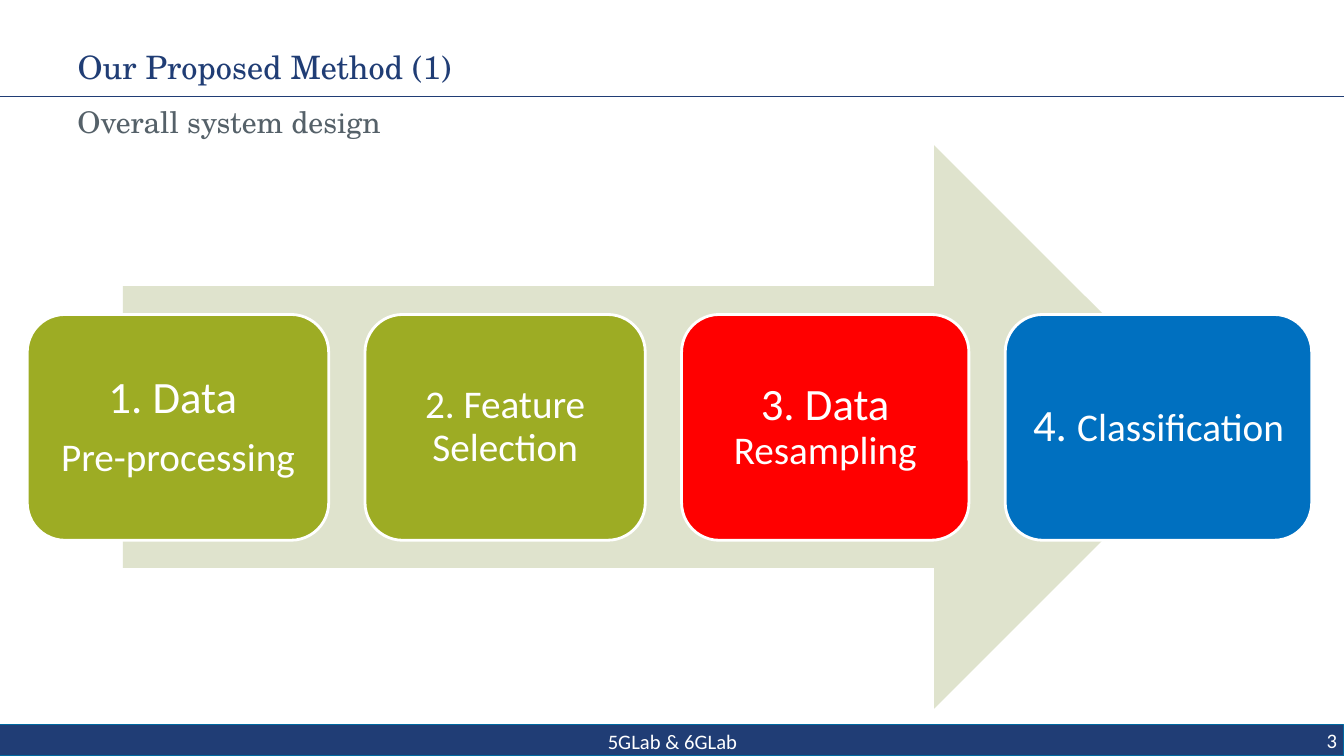
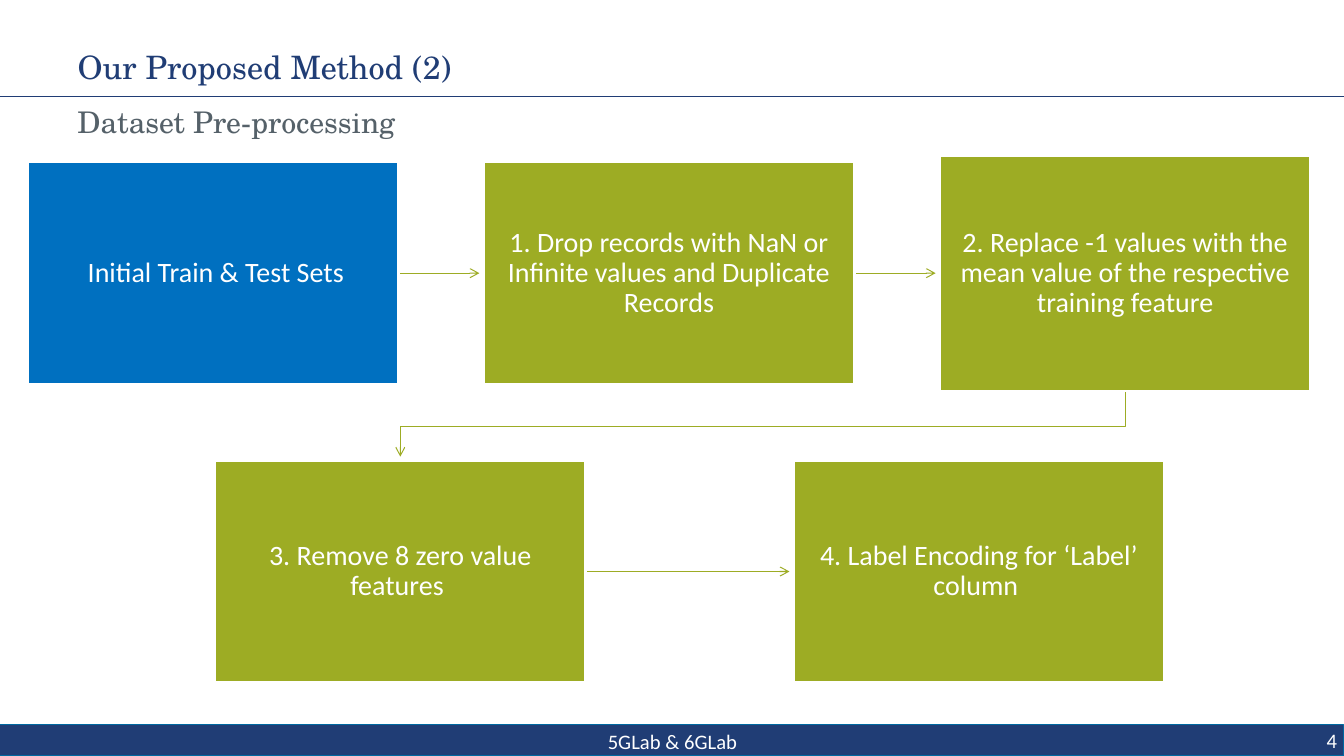
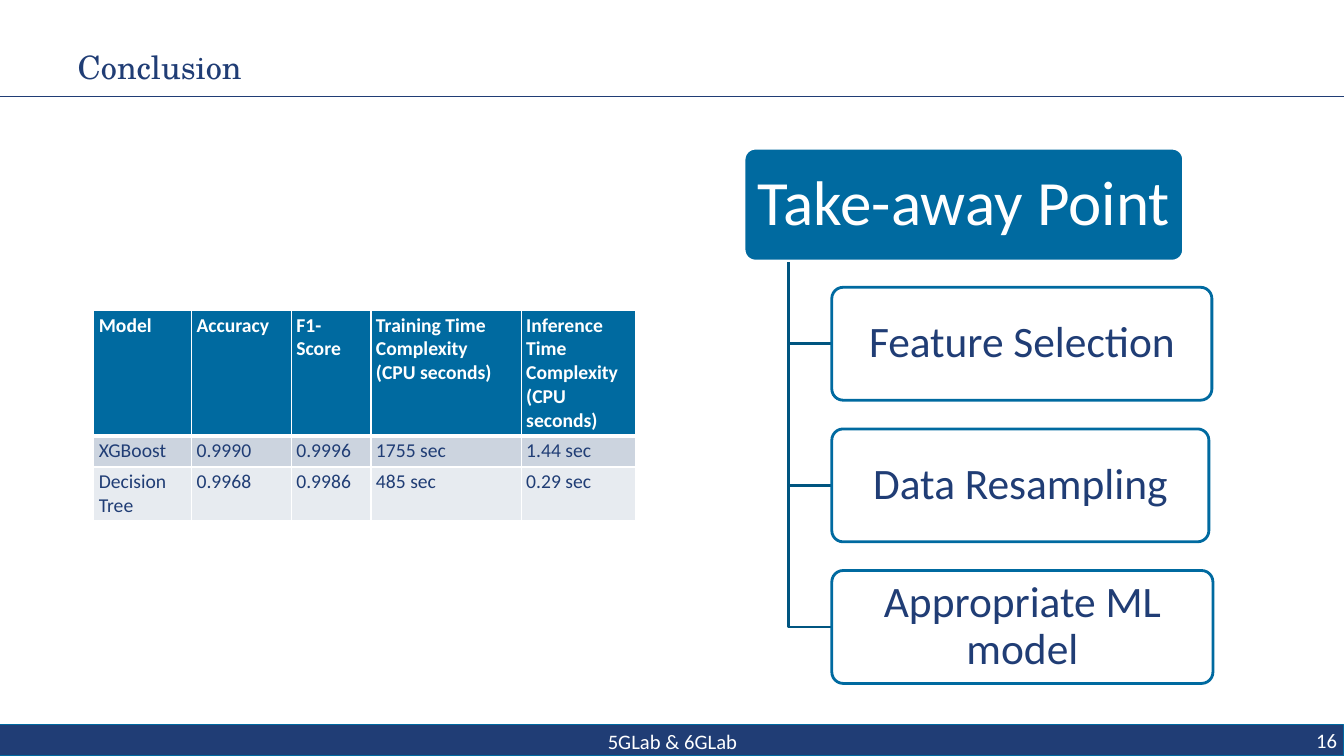
from pptx import Presentation
from pptx.dml.color import RGBColor
from pptx.enum import shapes, text
from pptx.oxml import parse_xml
from pptx.oxml.ns import nsdecls
from pptx.util import Inches, Pt

# Shared look
COLORS = {
    "navy": "203D75", "blue": "0070C0", "teal": "006AA0", "edge": "0069A0",
    "branch": "005580", "green": "9DAC24", "sage": "DFE3CD", "red": "FF0000",
    "gray": "556169", "white": "FFFFFF", "band_dark": "CCD4DF", "band_light": "E7EBF0",
}
BODY, SERIF = "Calibri", "TeX Gyre Schola"
FOOTER = "5GLab & 6GLab"
KINDS = shapes.MSO_SHAPE
LEFT, CENTER, RIGHT = text.PP_ALIGN.LEFT, text.PP_ALIGN.CENTER, text.PP_ALIGN.RIGHT
MIDDLE, TOP = text.MSO_ANCHOR.MIDDLE, text.MSO_ANCHOR.TOP

# Content: a paragraph is a list of (text, size) spans
STAGES = [  # width, fill, paragraphs
    (2.99, "green", [[("1. Data ", 32)], [("Pre-processing", 28)]]),
    (2.78, "green", [[("2. Feature Selection", 28)]]),
    (2.85, "red", [[("3. Data ", 32), ("Resampling", 28)]]),
    (3.04, "blue", [[("4. ", 32), ("Classification", 28)]]),
]
FLOW_ROWS = [  # first left, pitch, middle, boxes of (text, fill, height)
    (0.27, 4.525, 2.71, [
        (" Initial Train & Test Sets", "blue", 2.21),
        ("1. Drop records with NaN or Infinite values and Duplicate Records", "green", 2.21),
        ("2. Replace -1 values with the mean value of the respective training feature",
         "green", 2.34)]),
    (2.13, 5.74, 5.67, [
        ("3. Remove 8 zero value features ", "green", 2.21),
        ("4. Label Encoding for ‘Label’ column ", "green", 2.21)]),
]
TAKEAWAYS = [("Feature Selection", 3.77), ("Data Resampling", 3.74),
             ("Appropriate ML model", 3.78)]
RESULTS = [
    ["Model", "Accuracy", "F1-Score", "Training Time Complexity\n(CPU seconds)",
     "Inference Time Complexity\n(CPU seconds)"],
    ["XGBoost", "0.9990", "0.9996", "1755 sec", "1.44 sec"],
    ["Decision Tree", "0.9968", "0.9986", "485 sec", "0.29 sec"],
]
COLUMN_WIDTHS = [0.97, 0.99, 0.79, 1.49, 1.14]
ROW_HEIGHTS = [1.21, 0.31, 0.53]
ROW_FILLS = ["teal", "band_dark", "band_light"]

deck = Presentation()
deck.slide_width, deck.slide_height = Inches(13.33), Inches(7.5)


def rgb(name):
    return RGBColor.from_string(COLORS[name])


def style(span, size, color, font=BODY, bold=False):
    span.font.size, span.font.name, span.font.bold = Pt(size), font, bold
    span.font.color.rgb = rgb(color)


def write(box, paragraphs, color="white", font=BODY, align=CENTER, anchor=MIDDLE,
          inset=(0.1, 0.05), spacing=0.9):
    frame = box.text_frame
    frame.word_wrap, frame.auto_size = True, text.MSO_AUTO_SIZE.NONE
    frame.vertical_anchor = anchor
    frame.margin_left = frame.margin_right = Inches(inset[0])
    frame.margin_top = frame.margin_bottom = Inches(inset[1])
    for index, spans in enumerate(paragraphs):
        para = frame.add_paragraph() if index else frame.paragraphs[0]
        para.alignment, para.line_spacing = align, spacing
        if index < len(paragraphs) - 1:
            para.space_after = Pt(11)
        for words, size in spans:
            span = para.add_run()
            span.text = words
            style(span, size, color, font)


def add_label(page, at, words, size, **options):
    box = page.shapes.add_textbox(*map(Inches, at))
    write(box, [[(words, size)]], **options)


def add_block(page, kind, at, fill, line=None, width=2, corner=None):
    block = page.shapes.add_shape(kind, *map(Inches, at))
    block.shadow.inherit = False
    block.fill.solid()
    block.fill.fore_color.rgb = rgb(fill)
    if line:
        block.line.color.rgb, block.line.width = rgb(line), Pt(width)
    else:
        block.line.fill.background()
    if corner:
        block.adjustments[0] = corner
    return block


def add_route(page, points, color, width, arrow=False):
    points = [(Inches(x), Inches(y)) for x, y in points]
    if len(points) == 2:
        route = page.shapes.add_connector(shapes.MSO_CONNECTOR.STRAIGHT,
                                          *points[0], *points[1])
    else:
        builder = page.shapes.build_freeform(*points[0])
        builder.add_line_segments(points[1:], close=False)
        route = builder.convert_to_shape()
        route.fill.background()
    route.line.color.rgb, route.line.width = rgb(color), Pt(width)
    if arrow:
        route.line._get_or_add_ln().append(
            parse_xml(f'<a:tailEnd {nsdecls("a")} type="arrow"/>'))
    route._element.spPr.append(parse_xml(f'<a:effectLst {nsdecls("a")}/>'))


def add_page(title, number, subtitle=None):
    page = deck.slides.add_slide(deck.slide_layouts[5])
    add_route(page, [(0, 0.96), (13.39, 0.96)], "navy", 0.5)
    add_block(page, KINDS.RECTANGLE, (0, 7.19, 13.33, 0.31), "navy", "edge", 0.75)
    add_label(page, (4.56, 7.2, 4.22, 0.31), FOOTER, 14.7, spacing=1)
    add_label(page, (10.25, 7.19, 3.11, 0.31), number, 14.7, align=RIGHT, spacing=1)
    heading = page.shapes.title
    heading.left, heading.top = Inches(0.67), Inches(0.46)
    heading.width, heading.height = Inches(10.76), Inches(0.45)
    write(heading, [[(title, 23)]], "navy", SERIF, LEFT)
    if subtitle:
        add_label(page, (0.67, 1.02, 12.13, 0.42), subtitle, 21.3, color="gray",
                  font=SERIF, align=LEFT, anchor=TOP)
    return page


# Slide 1: stages on a broad arrow
page = add_page("Our Proposed Method (1)", "3", "Overall system design")
add_block(page, KINDS.RIGHT_ARROW, (1.22, 1.44, 10.84, 5.59), "sage")
left = 0.27
for width, fill, paragraphs in STAGES:
    card = add_block(page, KINDS.ROUNDED_RECTANGLE, (left, 3.12, width, 2.24), fill, "white")
    write(card, paragraphs, inset=(0.13, 0.13))
    left += width + 0.36

# Slide 2: two rows of steps joined by arrows
page = add_page("Our Proposed Method (2)", "4", "Dataset Pre-processing")
box_width = 3.68
add_route(page, [(11.16, 3.88), (11.16, 4.23), (3.97, 4.23), (3.97, 4.53)],
          "green", 0.75, arrow=True)
for first, pitch, middle, steps in FLOW_ROWS:
    for index, (words, fill, height) in enumerate(steps):
        left = first + index * pitch
        if index < len(steps) - 1:
            add_route(page, [(left + box_width, middle), (left + pitch - 0.04, middle)],
                      "green", 0.75, arrow=True)
        step = add_block(page, KINDS.RECTANGLE,
                         (left, middle - height / 2, box_width, height), fill, "white")
        write(step, [[(words, 20)]], inset=(0.18, 0.19))

# Slide 3: results table
page = add_page("Conclusion", "16")
table = page.shapes.add_table(
    len(RESULTS), len(COLUMN_WIDTHS), Inches(0.93), Inches(3.08),
    Inches(sum(COLUMN_WIDTHS)), Inches(sum(ROW_HEIGHTS))).table
for column, width in zip(table.columns, COLUMN_WIDTHS):
    column.width = Inches(width)


def set_borders(cell, widths):
    for index, (side, width) in enumerate(widths.items()):
        cell._tc.get_or_add_tcPr().insert(index, parse_xml(
            f'<a:ln{side} {nsdecls("a")} w="{Pt(width)}"><a:solidFill>'
            f'<a:srgbClr val="{COLORS["white"]}"/></a:solidFill></a:ln{side}>'))


for index, values in enumerate(RESULTS):
    table.rows[index].height = Inches(ROW_HEIGHTS[index])
    for cell, value in zip(table.rows[index].cells, values):
        cell.text_frame.text = value
        cell.margin_left = cell.margin_right = Inches(0.05)
        cell.margin_top = cell.margin_bottom = Inches(0.03)
        cell.fill.solid()
        cell.fill.fore_color.rgb = rgb(ROW_FILLS[index])
        set_borders(cell, {"L": 1, "R": 1, "T": 3 if index == 1 else 1,
                           "B": 3 if index == 0 else 1})
        for para in cell.text_frame.paragraphs:
            for span in para.runs:
                style(span, 14, "navy" if index else "white", bold=index == 0)

# Slide 3: take-away tree
root = add_block(page, KINDS.ROUNDED_RECTANGLE, (7.38, 1.47, 4.36, 1.12), "teal", "white",
                 corner=0.1)
write(root, [[("Take-away Point", 45)]], inset=(0.09, 0.06))
for index, (words, width) in enumerate(TAKEAWAYS):
    top = 2.85 + index * 1.405
    middle = top + 0.56
    add_route(page, [(7.82, 2.6), (7.82, middle), (8.25, middle)], "branch", 2)
    leaf = add_block(page, KINDS.ROUNDED_RECTANGLE, (8.25, top, width, 1.12), "white", "teal",
                     corner=0.1)
    write(leaf, [[(words, 31)]], "navy", inset=(0.06, 0.04))

deck.save("out.pptx")
